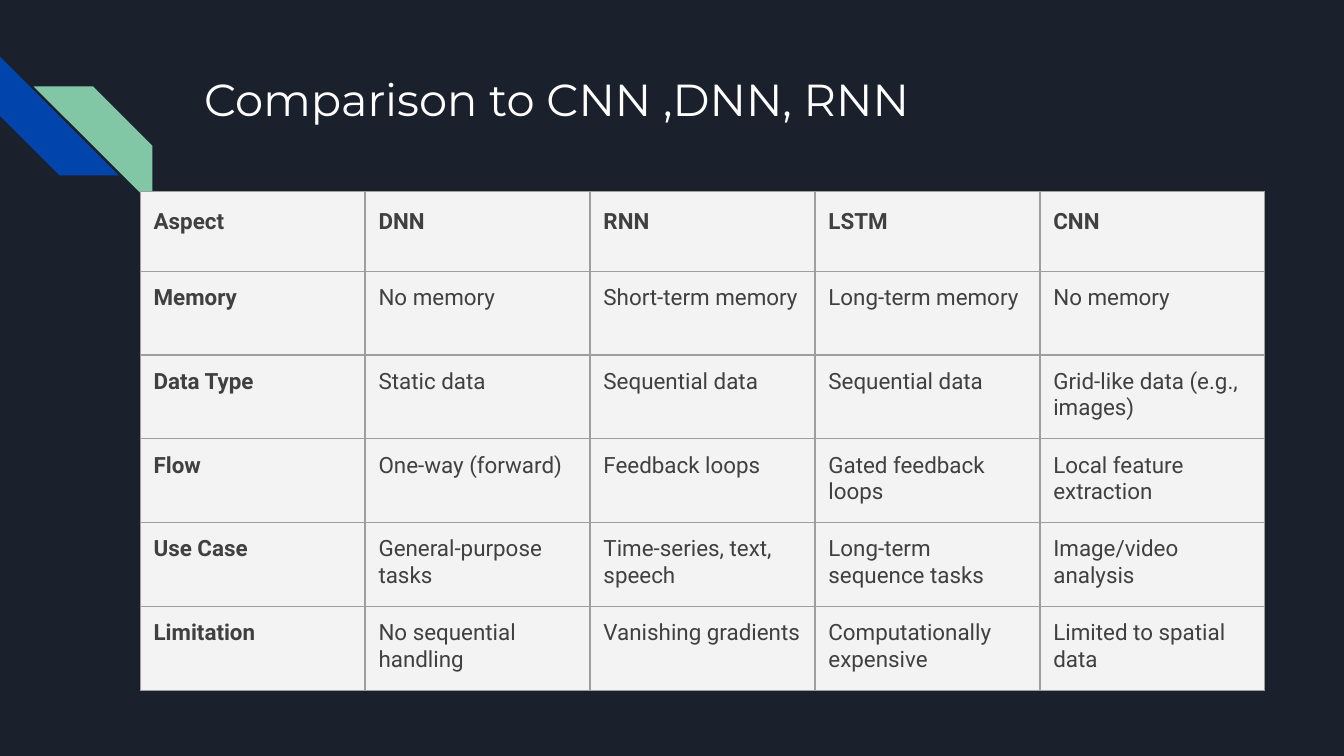
from lxml import etree
from pptx import Presentation
from pptx.dml.color import RGBColor
from pptx.enum.shapes import MSO_SHAPE
from pptx.enum.text import MSO_ANCHOR
from pptx.oxml.ns import qn
from pptx.util import Inches, Pt

STRIPE = MSO_SHAPE.DIAGONAL_STRIPE
TOP = MSO_ANCHOR.TOP
BLANK_LAYOUT = 6
PADDING = Inches(0.1)
BORDER_SIDES = ("a:lnL", "a:lnR", "a:lnT", "a:lnB")

COMPARISON = [
    ["Aspect", "DNN", "RNN", "LSTM", "CNN"],
    ["Memory", "No memory", "Short-term memory", "Long-term memory", "No memory"],
    ["Data Type", "Static data", "Sequential data", "Sequential data",
     "Grid-like data (e.g., images)"],
    ["Flow", "One-way (forward)", "Feedback loops", "Gated feedback loops",
     "Local feature extraction"],
    ["Use Case", "General-purpose tasks", "Time-series, text, speech",
     "Long-term sequence tasks", "Image/video analysis"],
    ["Limitation", "No sequential handling", "Vanishing gradients",
     "Computationally expensive", "Limited to spatial data"],
]


def color(hex_value):
    return RGBColor.from_string(hex_value)


def paint(target, hex_value):
    target.fill.solid()
    target.fill.fore_color.rgb = color(hex_value)


def write_text(text_frame, text, font, size, hex_value, bold=False, spacing=1.0):
    paragraph = text_frame.paragraphs[0]
    paragraph.line_spacing = spacing
    run = paragraph.add_run()
    run.text = text
    run.font.name = font
    run.font.size = Pt(size)
    run.font.bold = bold
    run.font.color.rgb = color(hex_value)


def set_padding(box):
    box.margin_left = box.margin_right = PADDING
    box.margin_top = box.margin_bottom = PADDING
    box.vertical_anchor = TOP


class SlideBuilder:
    """Places elements by percentages of the slide's width and height."""

    heading_font = "Montserrat"
    body_font = "Roboto"
    background = "1B212C"
    heading_color = "FFFFFF"
    body_color = "404040"
    cell_color = "F3F3F3"
    border_color = "9E9E9E"
    border_width = 0.75

    def __init__(self, presentation):
        self.width = presentation.slide_width
        self.height = presentation.slide_height
        layout = presentation.slide_layouts[BLANK_LAYOUT]
        self.slide = presentation.slides.add_slide(layout)
        paint(self.slide.background, self.background)

    def across(self, percent):
        return round(self.width * percent / 100)

    def down(self, percent):
        return round(self.height * percent / 100)

    def area(self, left, top, width, height):
        return (self.across(left), self.down(top),
                self.across(width), self.down(height))

    def stripe(self, left, top, side, hex_value, rotation):
        """Add a square diagonal stripe; side is a share of the slide's width."""
        length = self.across(side)
        shape = self.slide.shapes.add_shape(
            STRIPE, self.across(left), self.down(top), length, length)
        shape.adjustments[0] = 0.5
        shape.rotation = rotation
        shape.shadow.inherit = False
        shape.line.fill.background()
        paint(shape, hex_value)

    def title(self, text, *place):
        text_frame = self.slide.shapes.add_textbox(*self.area(*place)).text_frame
        text_frame.word_wrap = True
        set_padding(text_frame)
        write_text(text_frame, text, self.heading_font, 24, self.heading_color)

    def border(self, cell):
        properties = cell._tc.get_or_add_tcPr()
        for index, side in enumerate(BORDER_SIDES):
            line = etree.Element(qn(side), w=str(Pt(self.border_width)))
            fill = etree.SubElement(line, qn("a:solidFill"))
            etree.SubElement(fill, qn("a:srgbClr"), val=self.border_color)
            properties.insert(index, line)

    def table(self, rows, left, top, column_width, header_height, row_height):
        """Add a table whose first row and first column are bold."""
        heights = [header_height] + [row_height] * (len(rows) - 1)
        place = self.area(left, top, column_width * len(rows[0]), sum(heights))
        table = self.slide.shapes.add_table(len(rows), len(rows[0]), *place).table
        for column in table.columns:
            column.width = self.across(column_width)
        for row_index, (values, height) in enumerate(zip(rows, heights)):
            table.rows[row_index].height = self.down(height)
            is_header = row_index == 0
            for column_index, value in enumerate(values):
                cell = table.cell(row_index, column_index)
                set_padding(cell)
                paint(cell, self.cell_color)
                self.border(cell)
                write_text(cell.text_frame, value, self.body_font, 12,
                           self.body_color, bold=is_header or column_index == 0,
                           spacing=1.15 if is_header else 1.0)


def main():
    presentation = Presentation()
    presentation.slide_width = Inches(10)
    presentation.slide_height = presentation.slide_width * 9 // 16
    builder = SlideBuilder(presentation)
    builder.stripe(0, 7.47, 8.84, "0145AC", rotation=270)
    builder.stripe(2.5, 11.42, 8.84, "82C7A5", rotation=90)
    builder.title("Comparison to CNN ,DNN, RNN", 14.2, 7.7, 77, 17.8)
    builder.table(COMPARISON, left=10.43, top=25.3, column_width=16.74,
                  header_height=10.58, row_height=11.09)
    presentation.save("out.pptx")


if __name__ == "__main__":
    main()
